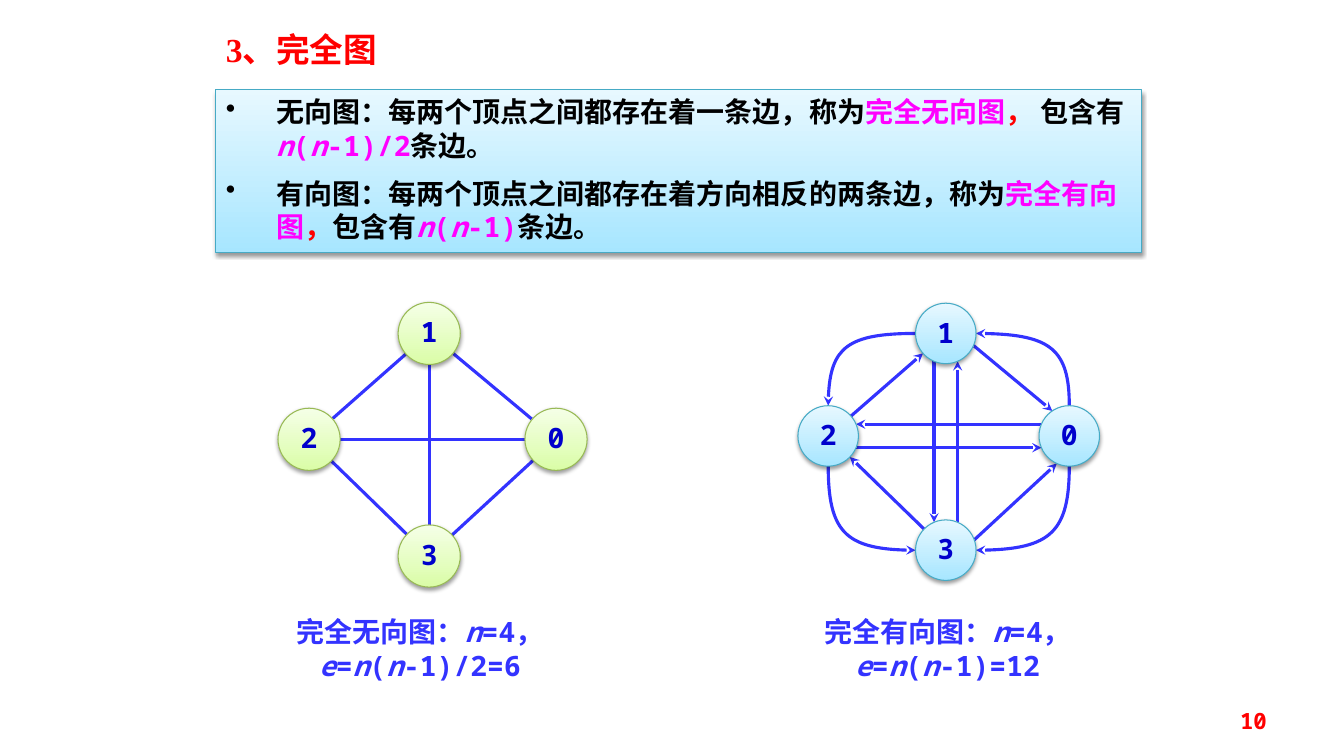
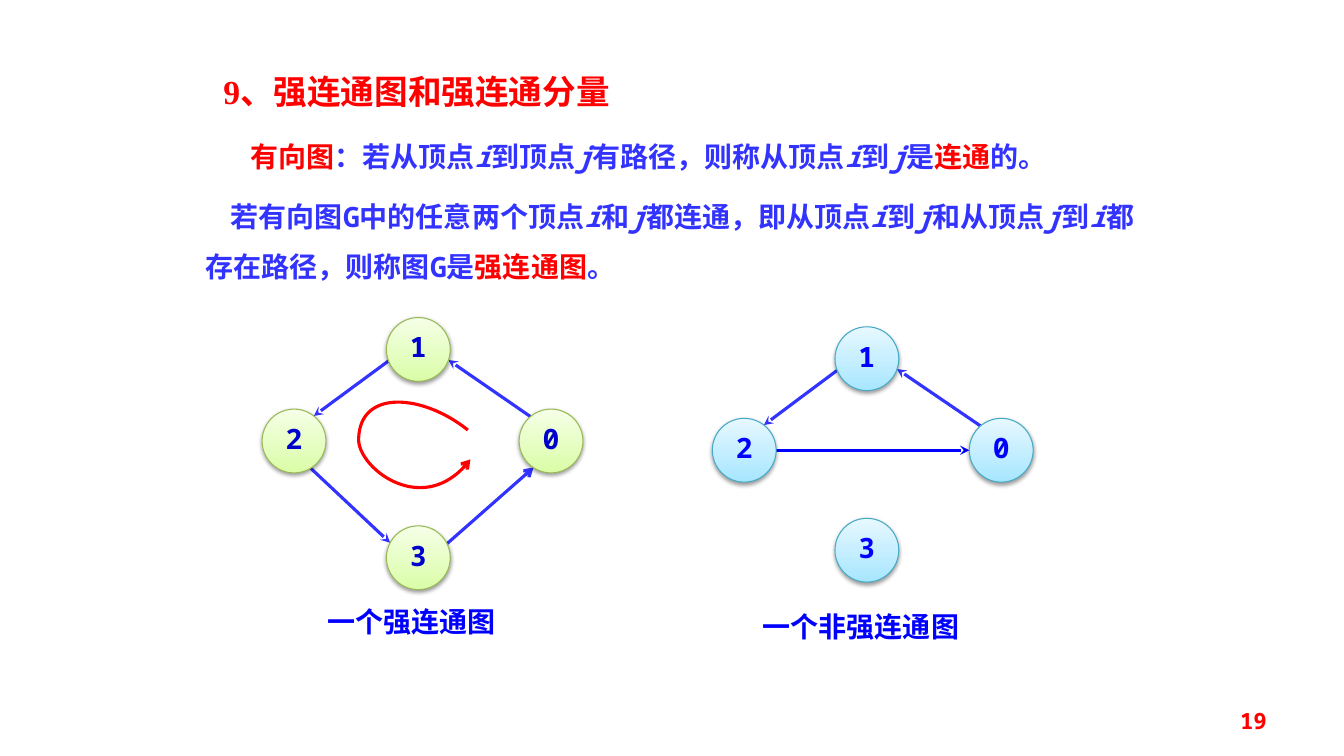
"""Builds two slides on complete graphs and strongly connected graphs."""
import math

import lxml.etree
import pptx
import pptx.dml.color
import pptx.enum.shapes
import pptx.enum.text
import pptx.oxml.ns
import pptx.util

qn = pptx.oxml.ns.qn
Pt = pptx.util.Pt
ALIGN = pptx.enum.text.PP_ALIGN
ANCHOR = pptx.enum.text.MSO_ANCHOR
SHAPE = pptx.enum.shapes.MSO_SHAPE
STRAIGHT = pptx.enum.shapes.MSO_CONNECTOR.STRAIGHT


class Theme:
    colors = {
        name: pptx.dml.color.RGBColor.from_string(code)
        for name, code in {
            "black": "000000", "red": "FF0000", "pink": "FF00FF", "violet": "3333FF",
            "navy": "0000CC", "blue": "0000FF", "green_low": "DAFDA7", "green_high": "F5FFE7",
            "green_line": "98B955", "sky_low": "A7E6FF", "sky_high": "E7F8FF", "sky_line": "46AAC5",
        }.items()
    }
    sans, serif = "Noto Sans Mono", "Times New Roman"
    edge, outline = Pt(2.25), Pt(0.75)
    fonts = {
        "title": {"name": serif, "size": Pt(24), "bold": True},
        "text": {"name": sans, "size": Pt(20), "bold": True},
        "page": {"name": sans, "size": Pt(16), "bold": True},
    }
    styles = {
        "title": ("title", {}),
        "card": ("text", {"alignment": ALIGN.LEFT, "space_before": Pt(10)}),
        "body": ("text", {"line_spacing": 1.5, "space_before": Pt(7)}),
        "caption": ("text", {"alignment": ALIGN.CENTER}),
        "node": ("text", {"alignment": ALIGN.CENTER, "line_spacing": 0.72}),
        "page": ("page", {"alignment": ALIGN.RIGHT}),
    }


COLS = 160
BEND = 0.78
prs = pptx.Presentation()
prs.slide_width, prs.slide_height = pptx.util.Inches(40 / 3), pptx.util.Inches(7.5)
CELL = prs.slide_width / COLS


def write(tf, style, paras):
    """Fill a frame with (indent, runs); asterisks enclose italics, a negative indent hangs a bullet."""
    font, layout = Theme.styles[style]
    tf.word_wrap = True
    for n, (indent, runs) in enumerate(paras):
        p = tf.add_paragraph() if n else tf.paragraphs[0]
        for key, value in layout.items():
            setattr(p, key, value)
        pPr = p._p.get_or_add_pPr()
        pPr.set("indent", str(round(indent * CELL)))
        if indent < 0:
            pPr.set("marL", str(round(-indent * CELL)))
            lxml.etree.SubElement(pPr, qn("a:buChar"), char="•")
        for color, text in runs:
            for k, part in enumerate(text.split("*")):
                if part:
                    r = p.add_run()
                    r.text = part
                    for key, value in {**Theme.fonts[font], "italic": k % 2 == 1}.items():
                        setattr(r.font, key, value)
                    r.font.color.rgb = Theme.colors[color]


def decorate(sp, tint):
    """Give a shape its gradient, outline and soft shadow."""
    sp.fill.gradient()
    sp.fill.gradient_angle = 90
    for stop, tone in zip(sp.fill.gradient_stops, ("low", "high")):
        stop.color.rgb = Theme.colors[f"{tint}_{tone}"]
    sp.line.color.rgb = Theme.colors[f"{tint}_line"]
    sp.line.width = Theme.outline
    sp.shadow.inherit = False
    sp.text_frame.vertical_anchor = ANCHOR.TOP
    effects = sp._element.spPr.find(qn("a:effectLst"))
    shadow = lxml.etree.SubElement(effects, qn("a:outerShdw"), blurRad="39400", dist="20300",
                                   dir="5400000", rotWithShape="0")
    black = lxml.etree.SubElement(shadow, qn("a:srgbClr"), val="000000")
    lxml.etree.SubElement(black, qn("a:alpha"), val="38000")


slides = [
    {
        "page": "10",
        "title": ((25.7, 2.8), "3、完全图"),
        "card": [
            (-6, [("black", "无向图：每两个顶点之间都存在着一条边，称为"), ("pink", "完全无向图"), ("red", "， "),
                  ("black", "包含有"), ("pink", "*n*(*n*-1)/2"), ("black", "条边。")]),
            (-6, [("black", "有向图：每两个顶点之间都存在着方向相反的两条边，称为"), ("pink", "完全有向图"), ("red", "，"),
                  ("black", "包含有"), ("pink", "*n*(*n*-1)"), ("black", "条边。")]),
        ],
        "graphs": [
            {"tint": "green", "ink": "navy", "size": 7.4, "xs": (36.8, 51.1, 66.2), "ys": (39.7, 52.3, 66.2),
             "edges": [("violet", None, 0, "12 23 30 01 20 13")],
             "caption": ((50, 72.6), "violet", ["完全无向图：*n*=4，", "*e*=*n*(*n*-1)/2=6"])},
            {"tint": "sky", "ink": "navy", "size": 7.2, "xs": (98.6, 112.6, 127.3), "ys": (39.7, 51.9, 65.5),
             "edges": [("violet", "stealth", 1.4, "13 31 02 20 30"), ("violet", "stealth", 0, "32 21"),
                       ("violet", "stealth", -1, "10")],
             "arcs": "12 23 03 01",
             "caption": ((112.8, 72.6), "violet", ["完全有向图：*n*=4，", "*e*=*n*(*n*-1)=12"])},
        ],
    },
    {
        "page": "19",
        "title": ((25.4, 7.8), "9、强连通图和强连通分量"),
        "body": [
            (5.3, [("red", "有向图"), ("violet", "：若从顶点*i*到顶点*j*有路径，则称从顶点*i*到*j*是"),
                   ("red", "连通"), ("violet", "的。")]),
            (3, [("violet", "若有向图G中的任意两个顶点*i*和*j*都连通，即从顶点*i*到*j*和从顶点*j*到*i*都存在路径，则称图G是"),
                 ("red", "强连通图"), ("violet", "。")]),
        ],
        "loop": [(55.7, 51.2), (50.5, 47), (42.9, 46.2), (42.7, 52.2), (42.5, 55.5), (50.5, 62), (56, 54.7)],
        "graphs": [
            {"tint": "green", "ink": "navy", "size": 7.6, "xs": (35, 49.8, 65.6), "ys": (41.6, 52.5, 66.4),
             "edges": [("violet", "stealth", 1, "01 12 23"), ("violet", "arrow", 1, "30")],
             "caption": ((49, 71.4), "blue", ["一个强连通图"])},
            {"tint": "sky", "ink": "blue", "size": 7.6, "xs": (88.6, 103.2, 119.2), "ys": (42.7, 53.6, 65.5),
             "edges": [("violet", "stealth", 1, "01 12"), ("blue", "stealth", 0, "20")],
             "caption": ((102.5, 72), "blue", ["一个非强连通图"])},
        ],
    },
]

for data in slides:
    shapes = prs.slides.add_slide(prs.slide_layouts[6]).shapes
    title_at, title = data["title"]
    texts = [("title", (*title_at, 80, 6), [(0, [("red", title)])]),
             ("page", (114.7, 83.4, 37.3, 4.8), [(0, [("red", data["page"])])])]
    if "body" in data:
        texts.append(("body", (23.3, 14, 114, 20), data["body"]))
    if "card" in data:
        sp = shapes.add_shape(SHAPE.RECTANGLE, *(round(v * CELL) for v in (25.7, 10.7, 110.2, 19.4)))
        decorate(sp, "sky")
        write(sp.text_frame, "card", data["card"])

    strokes = [("red", "arrow", data["loop"])] if "loop" in data else []
    balls = []
    for graph in data["graphs"]:
        (left, centre, right), (top, middle, bottom) = graph["xs"], graph["ys"]
        nodes = [(right, middle), (centre, top), (left, middle), (centre, bottom)]
        radius = graph["size"] / 2
        balls += [(graph, str(n), x - radius, y - radius) for n, (x, y) in enumerate(nodes)]
        for color, head, shift, pairs in graph["edges"]:
            for pair in pairs.split():
                (ax, ay), (bx, by) = (nodes[int(n)] for n in pair)
                span = math.hypot(bx - ax, by - ay)
                ux, uy = (bx - ax) / span, (by - ay) / span
                trim = math.sqrt(radius ** 2 - shift ** 2)
                strokes.append((color, head, [
                    (x - uy * shift + ux * gap, y + ux * shift + uy * gap)
                    for x, y, gap in ((ax, ay, trim), (bx, by, -trim))]))
        for pair in graph.get("arcs", "").split():
            side, pole = sorted((nodes[int(n)] for n in pair), key=lambda node: node[1] != middle)
            sx, sy = side[0], side[1] + math.copysign(radius, pole[1] - side[1])
            px, py = pole[0] + math.copysign(radius, side[0] - pole[0]), pole[1]
            arc = [(sx, sy), (sx, sy + BEND * (py - sy)), (px + BEND * (sx - px), py), (px, py)]
            strokes.append(("violet", "stealth", arc if nodes[int(pair[0])] == side else arc[::-1]))
        (x, y), color, lines = graph["caption"]
        texts.append(("caption", (x - 18, y, 36, 4.6 * len(lines)), [(0, [(color, line)]) for line in lines]))

    for color, head, route in strokes:
        pts = [(round(x * CELL), round(y * CELL)) for x, y in route]
        if len(pts) == 2:
            sp = shapes.add_connector(STRAIGHT, *pts[0], *pts[1])
            lxml.etree.SubElement(sp._element.spPr, qn("a:effectLst"))
        else:
            builder = shapes.build_freeform(*pts[0])
            builder.add_line_segments(pts[1:], close=False)
            sp = builder.convert_to_shape()
            sp.fill.background()
            sp.shadow.inherit = False
            steps = list(sp._element.iter(qn("a:lnTo")))
            for i in range(0, len(steps), 3):
                bend = lxml.etree.SubElement(steps[i].getparent(), qn("a:cubicBezTo"))
                for step in steps[i:i + 3]:
                    bend.append(step[0])
                    step.getparent().remove(step)
        sp.line.color.rgb = Theme.colors[color]
        sp.line.width = Theme.edge
        if head:
            lxml.etree.SubElement(sp.line._get_or_add_ln(), qn("a:tailEnd"), type=head)

    for graph, label, x, y in balls:
        box = (x, y, graph["size"], graph["size"])
        sp = shapes.add_shape(SHAPE.OVAL, *(round(v * CELL) for v in box))
        decorate(sp, graph["tint"])
        for key, value in {"left": 0, "right": 0, "bottom": 0, "top": round(1.4 * CELL)}.items():
            setattr(sp.text_frame, f"margin_{key}", value)
        write(sp.text_frame, "node", [(0, [(graph["ink"], label)])])

    for style, box, paras in texts:
        tf = shapes.add_textbox(*(round(v * CELL) for v in box)).text_frame
        tf.vertical_anchor = ANCHOR.MIDDLE if style == "page" else ANCHOR.TOP
        write(tf, style, paras)

prs.save("out.pptx")
